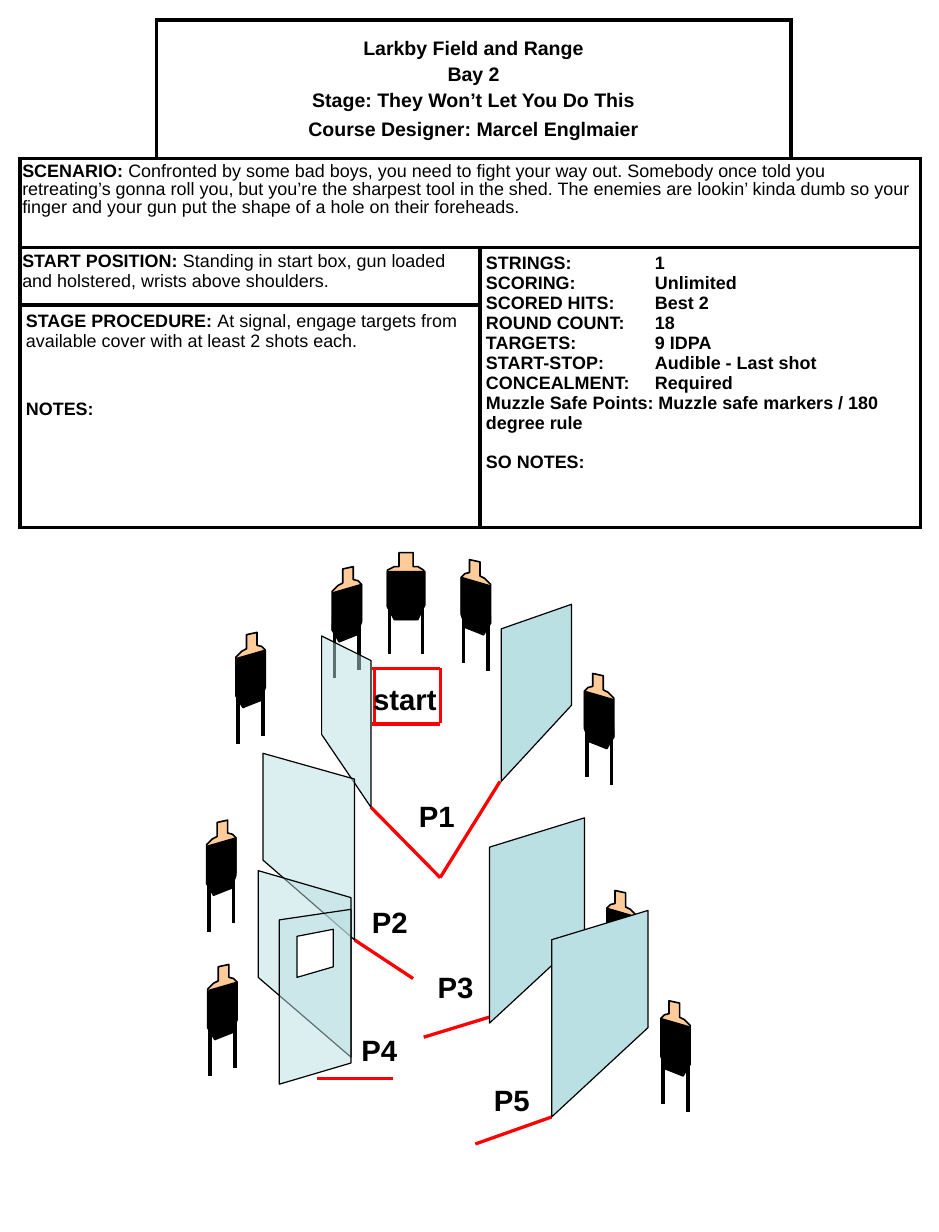
from lxml import etree
from pptx import Presentation
from pptx.dml.color import RGBColor
from pptx.enum.shapes import MSO_CONNECTOR
from pptx.enum.text import MSO_ANCHOR, MSO_AUTO_SIZE, PP_ALIGN
from pptx.oxml.ns import qn
from pptx.util import Cm, Pt

STRAIGHT = MSO_CONNECTOR.STRAIGHT
CENTER, MIDDLE = PP_ALIGN.CENTER, MSO_ANCHOR.MIDDLE
FIT_SHAPE = MSO_AUTO_SIZE.SHAPE_TO_FIT_TEXT
FONT = "Arial"
BLACK, WHITE, RED, SKIN, GLASS = "000000", "FFFFFF", "FF0000", "FFCC99", "BBE0E3"

COLUMNS = [1.16, 2.76, 2.65, 1.1]
ROWS = [1.18, 0.76, 0.49, 1.9]
MERGES = [((0, 1), (0, 2)), ((1, 0), (1, 3)), ((2, 0), (2, 1)),
          ((2, 2), (3, 3)), ((3, 0), (3, 1))]
VALUE_TAB = 1.44

HEADING = ["Larkby Field and Range", "Bay 2", "Stage: They Won’t Let You Do This",
           "Course Designer: Marcel Englmaier"]
SCENARIO = ("Confronted by some bad boys, you need to fight your way out. Somebody once "
            "told you retreating’s gonna roll you, but you’re the sharpest tool in the shed. "
            "The enemies are lookin’ kinda dumb so your finger and your gun put the shape "
            "of a hole on their foreheads.")
START = "Standing in start box, gun loaded and holstered, wrists above shoulders."
PROCEDURE = "At signal, engage targets from available cover with at least 2 shots each."
DETAILS = [("STRINGS:", "1"), ("SCORING:", "Unlimited"), ("SCORED HITS:", "Best 2"),
           ("ROUND COUNT:", "18"), ("TARGETS:", "9 IDPA"),
           ("START-STOP:", "Audible - Last shot"), ("CONCEALMENT:", "Required")]

POSITIONS = [("P1", 3.47, 6.75), ("P2", 3.07, 7.66), ("P3", 3.63, 8.21),
             ("P4", 2.98, 8.75), ("P5", 4.11, 9.17)]
FAULT_LINES = [((3.75, 7.48), (3.16, 6.88)), ((4.26, 6.66), (3.75, 7.48)),
               ((3.52, 8.34), (3.02, 8.01)), ((4.23, 8.65), (3.61, 8.84)),
               ((3.35, 9.19), (2.7, 9.19)), ((4.7, 9.52), (4.05, 9.75))]
START_BOX = [((3.75, 5.7), (3.17, 5.7)), ((3.75, 5.69), (3.75, 6.16)),
             ((3.19, 5.69), (3.19, 6.16)), ((3.75, 6.17), (3.17, 6.17))]

# Target outlines are relative to the top left corner of the target.
ANGLED = {
    "width": 0.25,
    "legs": [(0.02, 0.51), (0.23, 0.44)],
    "body": [(0.09, 0.02), (0.18, 0), (0.18, 0.11), (0.22, 0.12), (0.25, 0.15), (0.25, 0.47),
             (0.21, 0.58), (0.06, 0.64), (0, 0.54), (0, 0.21), (0.05, 0.16), (0.09, 0.14)],
    "vest": [(0, 0.54), (0.07, 0.63), (0.21, 0.58), (0.25, 0.45), (0.25, 0.15), (0.01, 0.22)],
}
FRONTAL = {
    "width": 0.32,
    "legs": [(0.02, 0.42), (0.3, 0.42)],
    "body": [(0.1, 0), (0.22, 0), (0.22, 0.12), (0.26, 0.12), (0.31, 0.15), (0.31, 0.46),
             (0.26, 0.57), (0.06, 0.57), (0, 0.46), (0, 0.15), (0.06, 0.12), (0.1, 0.12)],
    "vest": [(0, 0.16), (0.32, 0.16), (0.32, 0.45), (0.25, 0.57), (0.06, 0.57), (0, 0.46)],
}
LEG_LENGTH = 0.44
RIGHT_FACING = [(2.83, 4.83), (2.01, 5.39), (1.77, 8.22), (1.76, 6.99)]
LEFT_FACING = [(3.93, 4.77), (4.98, 5.74), (5.17, 7.59), (5.63, 8.53)]

# Corners of each wall and its opacity in percent.
WALLS = [
    ([(2.74, 6.26), (3.16, 6.88), (3.16, 5.63), (2.74, 5.42)], 50),
    ([(4.87, 6.01), (4.27, 6.66), (4.27, 5.36), (4.87, 5.15)], 100),
    ([(2.24, 7.33), (3.02, 8.01), (3.02, 6.64), (2.24, 6.42)], 50),
    ([(4.98, 7.97), (4.17, 8.72), (4.17, 7.22), (4.98, 6.97)], 100),
    ([(5.52, 8.76), (4.7, 9.52), (4.7, 8.01), (5.52, 7.76)], 100),
    ([(2.2, 8.33), (2.99, 9.01), (2.99, 7.65), (2.2, 7.42)], 50),
]
WINDOW_WALL = [(2.38, 9.24), (2.99, 9.06), (2.99, 7.75), (2.38, 7.84)]
WINDOW = [(2.53, 7.98), (2.84, 7.92), (2.84, 8.24), (2.53, 8.33)]


def length(inches):
    return Cm(inches * 2.54)


def color(value):
    return RGBColor.from_string(value)


def add_run(paragraph, text, size, bold=True):
    run = paragraph.add_run()
    run.text = text
    run.font.name, run.font.size, run.font.bold = FONT, Pt(size), bold
    run.font.color.rgb = color(BLACK)


def add_line(shapes, start, end, line_color, width):
    line = shapes.add_connector(STRAIGHT, *[length(value) for value in (*start, *end)])
    line.line.color.rgb = color(line_color)
    line.line.width = Pt(width)
    etree.SubElement(line._element.spPr, qn("a:effectLst"))


def add_outline(shapes, points, fill, width, opacity=100):
    corners = [(length(x), length(y)) for x, y in points]
    builder = shapes.build_freeform(*corners[0])
    builder.add_line_segments(corners[1:], close=True)
    shape = builder.convert_to_shape()
    shape.shadow.inherit = False
    shape.fill.solid()
    shape.fill.fore_color.rgb = color(fill)
    shape.line.color.rgb = color(BLACK)
    shape.line.width = Pt(width)
    if opacity < 100:
        fill_color = shape._element.spPr.find(qn("a:solidFill"))[0]
        etree.SubElement(fill_color, qn("a:alpha"), val=str(opacity * 1000))


def add_label(shapes, text, left, top, width=0.58):
    box = shapes.add_textbox(length(left), length(top), length(width), length(0.4))
    box.text_frame.word_wrap = True
    box.text_frame.auto_size = FIT_SHAPE
    add_run(box.text_frame.paragraphs[0], text, 18)


def add_target(shapes, design, left, top, mirrored=False):
    def place(points):
        return [(left + (design["width"] - x if mirrored else x), top + y) for x, y in points]

    group = shapes.add_group_shape().shapes
    for x, y in place(design["legs"]):
        add_line(group, (x, y), (x, y + LEG_LENGTH), BLACK, 2.25)
    add_outline(group, place(design["body"]), SKIN, 1)
    add_outline(group, place(design["vest"]), BLACK, 0)


def set_borders(cell, hidden):
    properties = cell._tc.get_or_add_tcPr()
    for side in "LRTB":
        line = etree.SubElement(properties, qn(f"a:ln{side}"), w=str(Pt(2.25)))
        if side in hidden:
            etree.SubElement(line, qn("a:noFill"))
        else:
            fill = etree.SubElement(line, qn("a:solidFill"))
            etree.SubElement(fill, qn("a:srgbClr"), val=BLACK)


def set_margins(cell, horizontal, vertical):
    cell.margin_left = cell.margin_right = length(horizontal)
    cell.margin_top = cell.margin_bottom = length(vertical)


def next_paragraph(cell, space=0):
    """Return the empty first paragraph, or a new one with space before it."""
    frame = cell.text_frame
    if not frame.paragraphs[0].runs:
        return frame.paragraphs[0]
    paragraph = frame.add_paragraph()
    paragraph.space_before = Pt(space)
    return paragraph


def add_entry(cell, title, text):
    paragraph = next_paragraph(cell)
    add_run(paragraph, f"{title}: ", 11)
    add_run(paragraph, text, 11, bold=False)
    return paragraph


def fill_details(cell):
    for name, value in DETAILS:
        paragraph = next_paragraph(cell)
        tabs = etree.SubElement(paragraph._p.get_or_add_pPr(), qn("a:tabLst"))
        etree.SubElement(tabs, qn("a:tab"), pos=str(length(VALUE_TAB)), algn="l")
        add_run(paragraph, f"{name}\t{value}", 11)
    add_run(next_paragraph(cell), "Muzzle Safe Points: Muzzle safe markers / 180 degree rule", 11)
    add_run(next_paragraph(cell, 12), "SO NOTES:", 11)


def add_briefing(shapes):
    frame = shapes.add_table(len(ROWS), len(COLUMNS), length(0.17), length(0.17),
                             length(sum(COLUMNS)), length(sum(ROWS)))
    table = frame.table
    table.first_row = table.horz_banding = False
    for column, width in zip(table.columns, COLUMNS):
        column.width = length(width)
    for row, height in zip(table.rows, ROWS):
        row.height = length(height)
    for first, last in MERGES:
        table.cell(*first).merge(table.cell(*last))
    hidden = {(0, 0): "LT", (0, 3): "RT"}
    for row in range(len(ROWS)):
        for column in range(len(COLUMNS)):
            cell = table.cell(row, column)
            set_borders(cell, hidden.get((row, column), ""))
            cell.fill.solid()
            cell.fill.fore_color.rgb = color(WHITE)
            set_margins(cell, 0.05, 0.05)

    heading = table.cell(0, 1)
    heading.vertical_anchor = MIDDLE
    for text, space in zip(HEADING, (0, 2.4, 2.4, 4.2)):
        paragraph = next_paragraph(heading, space)
        paragraph.alignment = CENTER
        add_run(paragraph, text, 12)
    set_margins(table.cell(1, 0), 0.02, 0.04)
    add_entry(table.cell(1, 0), "SCENARIO", SCENARIO).line_spacing = 0.9
    set_margins(table.cell(2, 0), 0.02, 0.03)
    add_entry(table.cell(2, 0), "START POSITION", START)
    add_entry(table.cell(3, 0), "STAGE PROCEDURE", PROCEDURE)
    add_run(next_paragraph(table.cell(3, 0), 30), "NOTES:", 11)
    fill_details(table.cell(2, 2))


def main():
    presentation = Presentation()
    presentation.slide_width, presentation.slide_height = length(8), length(10.5)
    shapes = presentation.slides.add_slide(presentation.slide_layouts[6]).shapes

    add_briefing(shapes)
    for start, end in FAULT_LINES:
        add_line(shapes, start, end, RED, 2)
    for name, left, top in POSITIONS:
        add_label(shapes, name, left, top)
    for left, top in RIGHT_FACING:
        add_target(shapes, ANGLED, left, top)
    for left, top in LEFT_FACING:
        add_target(shapes, ANGLED, left, top, mirrored=True)
    add_target(shapes, FRONTAL, 3.3, 4.71)

    start_box = shapes.add_group_shape().shapes
    for start, end in START_BOX:
        add_line(start_box, start, end, RED, 2)
    add_label(start_box, "start", 3.08, 5.76, 0.87)

    for corners, opacity in WALLS:
        add_outline(shapes, corners, GLASS, 0.75, opacity)
    window_wall = shapes.add_group_shape().shapes
    add_outline(window_wall, WINDOW_WALL, GLASS, 0.75, 50)
    add_outline(window_wall, WINDOW, WHITE, 0.75)
    presentation.save("out.pptx")


if __name__ == "__main__":
    main()
